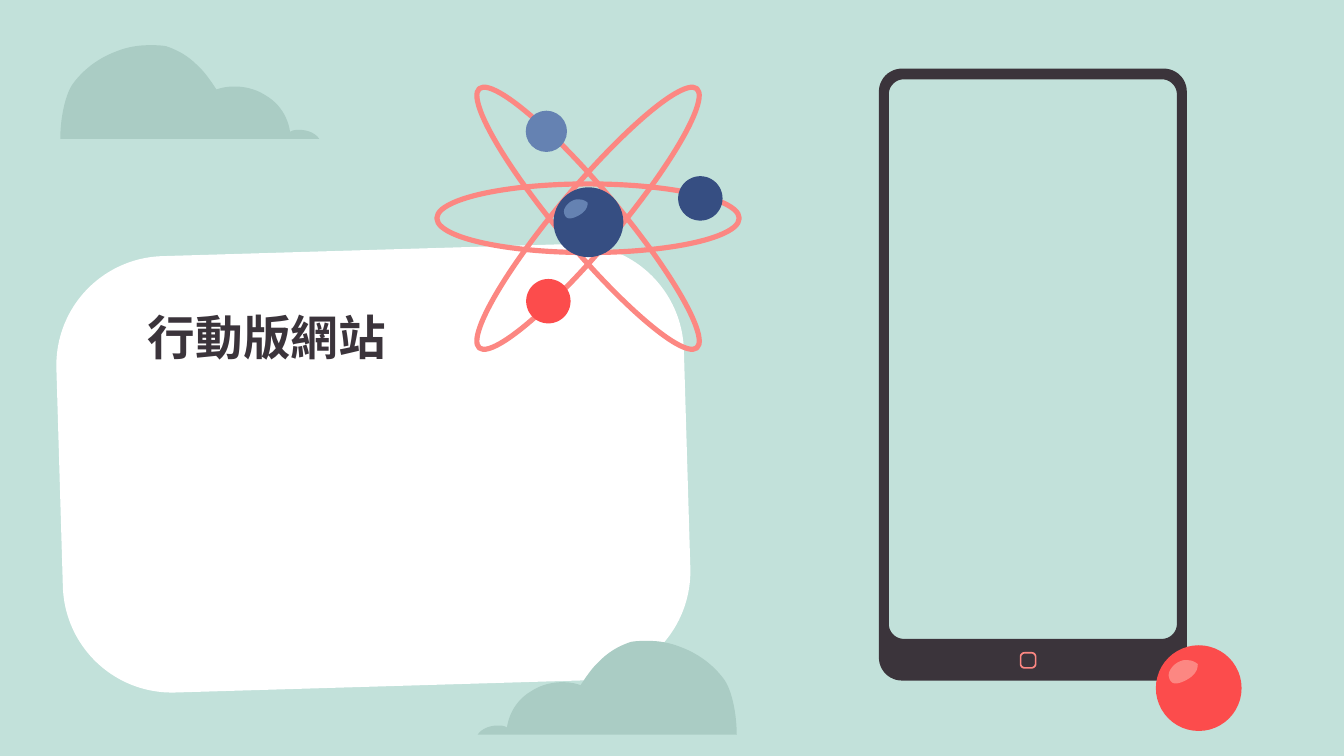
from dataclasses import dataclass
from math import cos, pi, sin
from typing import Optional

from lxml.etree import SubElement
from pptx import Presentation
from pptx.dml.color import RGBColor
from pptx.enum.shapes import MSO_SHAPE
from pptx.enum.text import MSO_ANCHOR, PP_ALIGN
from pptx.oxml.ns import qn
from pptx.util import Cm, Pt

Point = tuple[float, float]

COLOURS = {
    "mint": "C2E1DA",
    "sage": "AACCC4",
    "ink": "3B343B",
    "white": "FFFFFF",
    "coral": "FC8782",
    "red": "FC4C4C",
    "navy": "364E82",
    "steel": "6582B2",
}
FONT = "Noto Sans CJK SC"
CURVE_STEPS = 12

CLOUD_WIDTH = 257
CLOUD_CURVE = [
    (88, 0),
    (77, 0), (66, 2), (56, 6),
    (37, 13), (22, 25), (12, 39),
    (4, 51), (0, 75), (0, 93),
    (0, 93), (257, 93), (257, 93),
    (253, 87), (245, 84), (237, 84),
    (234, 84), (231, 84), (228, 86),
    (226, 72), (218, 58), (204, 50),
    (195, 44), (184, 41), (173, 41),
    (166, 41), (160, 42), (155, 44),
    (149, 35), (143, 26), (135, 19),
    (127, 11), (117, 5), (105, 1),
    (99, 0), (94, 0), (88, 0),
]
GLINT_WIDTH = 28
GLINT_CURVE = [
    (19, 0),
    (17, 0), (14, 0), (12, 1),
    (7, 3), (3, 7), (1, 12),
    (0, 14), (0, 17), (1, 19),
    (2, 22), (4, 24), (7, 24),
    (11, 24), (14, 22), (16, 21),
    (23, 17), (29, 11), (28, 3),
    (25, 1), (22, 0), (19, 0),
]


@dataclass
class Cloud:
    left: float
    top: float
    mirrored: bool = False


@dataclass
class Panel:
    left: float
    top: float
    width: float
    height: float
    radius: float


@dataclass
class Orbit:
    length: float
    breadth: float
    tilt: float


@dataclass
class Ball:
    x: float
    y: float
    diameter: float
    colour: str
    glint: Optional[str] = None


SKY_CLOUD = Cloud(1.52, 1.14)
GROUND_CLOUD = Cloud(12.04, 16.15, mirrored=True)
PHONE = [Panel(22.15, 1.73, 7.76, 15.42, 0.58), Panel(22.4, 2, 7.26, 14.1, 0.38)]
HOME_BUTTON = [Panel(25.7, 16.43, 0.42, 0.42, 0.12), Panel(25.74, 16.47, 0.34, 0.34, 0.09)]
ATOM_CENTRE = (14.82, 5.5)
ORBITS = [Orbit(7.62, 1.73, 0), Orbit(8.53, 1.52, 50), Orbit(8.53, 1.52, -50)]
BALLS = [
    Ball(13.77, 3.31, 1.04, "steel"),
    Ball(17.65, 5, 1.12, "navy"),
    Ball(13.82, 7.59, 1.12, "red"),
    Ball(30.21, 17.34, 2.16, "red", glint="coral"),
    Ball(14.83, 5.6, 1.76, "navy", glint="steel"),
]


def rgb(colour: str) -> RGBColor:
    return RGBColor.from_string(COLOURS[colour])


def paint(shape, colour: str) -> None:
    shape.shadow.inherit = False
    shape.fill.solid()
    shape.fill.fore_color.rgb = rgb(colour)
    shape.line.fill.background()


def trace_curve(curve: list[Point]) -> list[Point]:
    points = [curve[0]]
    for start in range(0, len(curve) - 1, 3):
        a, b, c, d = curve[start:start + 4]
        for step in range(1, CURVE_STEPS + 1):
            t = step / CURVE_STEPS
            weights = ((1 - t) ** 3, 3 * t * (1 - t) ** 2, 3 * t * t * (1 - t), t ** 3)
            points.append(tuple(
                sum(weight * point[axis] for weight, point in zip(weights, (a, b, c, d)))
                for axis in (0, 1)
            ))
    return points


def trace_panel(panel: Panel) -> list[Point]:
    r = panel.radius
    right, bottom = panel.left + panel.width - r, panel.top + panel.height - r
    left, top = panel.left + r, panel.top + r
    points = []
    for quarter, (x, y) in enumerate([(right, bottom), (left, bottom), (left, top), (right, top)]):
        for step in range(CURVE_STEPS + 1):
            angle = (quarter + step / CURVE_STEPS) * pi / 2
            points.append((x + r * cos(angle), y + r * sin(angle)))
    return points


def draw_outline(slide, contours: list[list[Point]], colour: str):
    contours = [[(Cm(x), Cm(y)) for x, y in contour] for contour in contours]
    builder = slide.shapes.build_freeform(*contours[0][0])
    for index, contour in enumerate(contours):
        if index:
            builder.move_to(*contour[0])
        builder.add_line_segments(contour[1:], close=True)
    shape = builder.convert_to_shape()
    paint(shape, colour)
    return shape


def draw_cloud(slide, cloud: Cloud) -> None:
    unit = 0.0254
    points = trace_curve(CLOUD_CURVE)
    if cloud.mirrored:
        points = [(CLOUD_WIDTH - x, y) for x, y in points]
    draw_outline(slide, [[(cloud.left + x * unit, cloud.top + y * unit) for x, y in points]], "sage")


def draw_orbit(slide, orbit: Orbit) -> None:
    x, y = ATOM_CENTRE
    ring = slide.shapes.add_shape(
        MSO_SHAPE.OVAL, Cm(x - orbit.length / 2), Cm(y - orbit.breadth / 2),
        Cm(orbit.length), Cm(orbit.breadth))
    ring.shadow.inherit = False
    ring.rotation = orbit.tilt
    ring.fill.background()
    ring.line.color.rgb = rgb("coral")
    ring.line.width = Cm(0.13)


def draw_ball(slide, ball: Ball) -> None:
    d = ball.diameter
    sphere = slide.shapes.add_shape(
        MSO_SHAPE.OVAL, Cm(ball.x - d / 2), Cm(ball.y - d / 2), Cm(d), Cm(d))
    paint(sphere, ball.colour)
    if ball.glint:
        unit = 0.33 * d / GLINT_WIDTH
        left, top = ball.x - 0.35 * d, ball.y - 0.33 * d
        points = [(left + x * unit, top + y * unit) for x, y in trace_curve(GLINT_CURVE)]
        draw_outline(slide, [points], ball.glint).rotation = 5


def write(slide, text: str, *, left: float, top: float, width: float, height: float,
          size: float, colour: str, bold: bool = False, inset: float = 0.33) -> None:
    frame = slide.shapes.add_textbox(Cm(left), Cm(top), Cm(width), Cm(height)).text_frame
    frame.word_wrap = True
    frame.vertical_anchor = MSO_ANCHOR.BOTTOM
    frame.margin_left = frame.margin_right = Cm(inset)
    frame.margin_top = frame.margin_bottom = Cm(inset)
    frame.paragraphs[0].alignment = PP_ALIGN.LEFT
    run = frame.paragraphs[0].add_run()
    run.text = text
    run.font.size = Pt(size)
    run.font.bold = bold
    run.font.color.rgb = rgb(colour)
    run.font.name = FONT
    SubElement(run.font._element, qn("a:ea")).set("typeface", FONT)


def main() -> None:
    deck = Presentation()
    deck.slide_width, deck.slide_height = Cm(33.87), Cm(19.05)
    slide = deck.slides.add_slide(deck.slide_layouts[6])
    slide.background.fill.solid()
    slide.background.fill.fore_color.rgb = rgb("mint")

    draw_cloud(slide, SKY_CLOUD)
    for panels, colour in ((PHONE, "ink"), (HOME_BUTTON, "coral")):
        draw_outline(slide, [trace_panel(panel) for panel in panels], colour)

    card = slide.shapes.add_shape(
        MSO_SHAPE.ROUNDED_RECTANGLE, Cm(1.5), Cm(6.3), Cm(15.82), Cm(11))
    card.adjustments[0] = 0.25
    card.rotation = 358.3
    paint(card, "white")
    write(slide, "行動版網站", left=3.4, top=7.19, width=11.99, height=2.34,
          size=34, colour="ink", bold=True)

    for orbit in ORBITS:
        draw_orbit(slide, orbit)
    for ball in BALLS:
        draw_ball(slide, ball)
    draw_cloud(slide, GROUND_CLOUD)
    deck.save("out.pptx")


if __name__ == "__main__":
    main()
